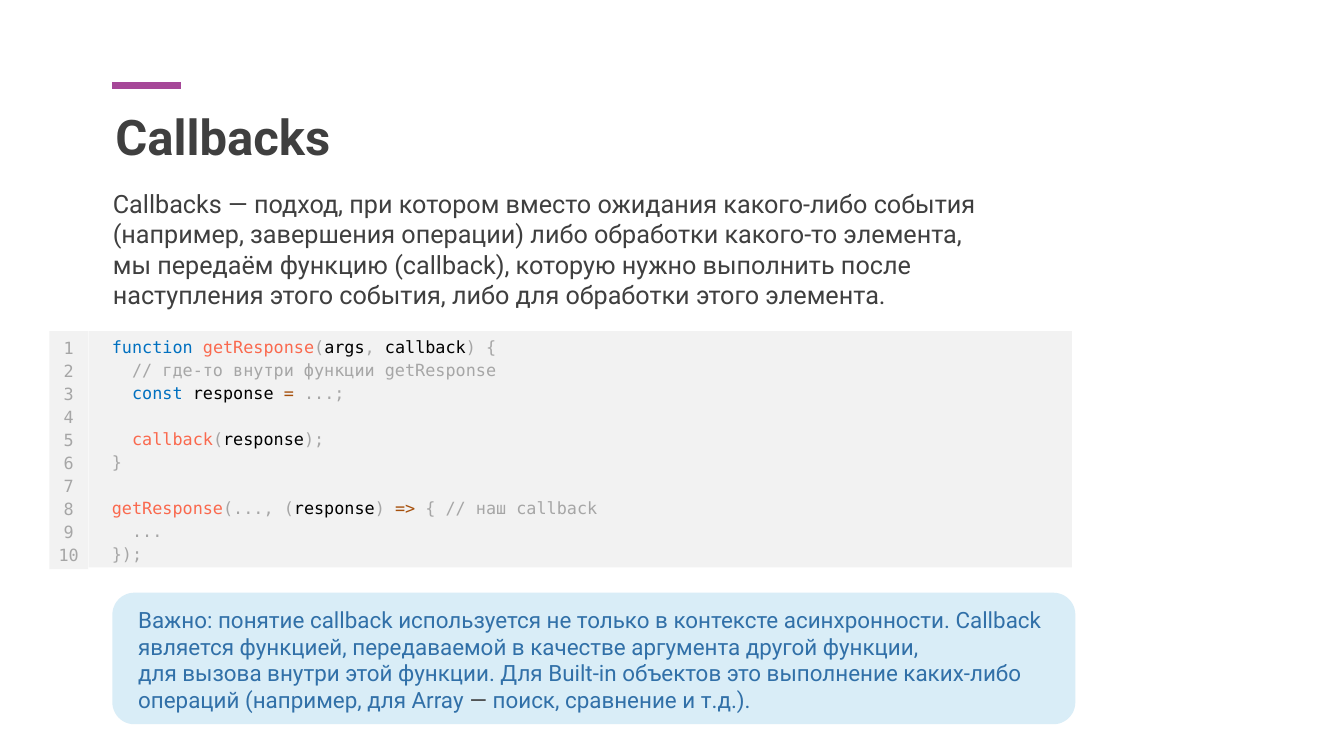
import pptx
import pptx.util
import pptx.dml.color
import pptx.enum.shapes
import pptx.enum.text
from dataclasses import dataclass
from lxml import etree

SHAPE = pptx.enum.shapes.MSO_SHAPE
ALIGN = pptx.enum.text.PP_ALIGN
ANCHOR = pptx.enum.text.MSO_ANCHOR


@dataclass(frozen=True)
class Theme:
    sans: str = "Roboto"
    mono: str = "DejaVu Sans Mono"
    ink: str = "3F3F3F"
    bar: str = "A64798"
    panel: str = "F2F2F2"
    dim: str = "A6A6A6"
    key: str = "0070C0"
    func: str = "FA694E"
    name: str = "000000"
    sign: str = "A6500C"
    note: str = "3170A8"
    pale: str = "D9EDF7"
    head: int = 70
    body: int = 36
    hint: int = 32
    code: int = 24


def tint(code):
    return pptx.dml.color.RGBColor.from_string(code)


def write(frame, text, font, size, color, bold=False, align=ALIGN.LEFT,
          anchor=ANCHOR.TOP, space=1.0, inset=0.05, left=None):
    frame.word_wrap = True
    frame.auto_size = pptx.enum.text.MSO_AUTO_SIZE.NONE
    frame.vertical_anchor = anchor
    frame.margin_top = frame.margin_bottom = frame.margin_right = pptx.util.Inches(inset)
    frame.margin_left = pptx.util.Inches(inset if left is None else left)
    for row, line in enumerate(text):
        para = frame.add_paragraph() if row else frame.paragraphs[0]
        para.alignment = align
        para.line_spacing = space
        for part, shade in [(line, color)] if isinstance(line, str) else line:
            for turn, piece in enumerate(part.split("\n")):
                if turn:
                    para.add_line_break()
                run = para.add_run()
                run.text = piece
                run.font.name = font
                run.font.size = pptx.util.Pt(size)
                run.font.bold = bold
                run.font.color.rgb = tint(shade)


class Deck:
    def __init__(self, theme, wide, high):
        self.theme = theme
        self.file = pptx.Presentation()
        self.file.slide_width = pptx.util.Inches(wide)
        self.file.slide_height = pptx.util.Inches(high)
        self.slide = self.file.slides.add_slide(self.file.slide_layouts[5])

    def place(self, left, top, wide, high):
        across, down = self.file.slide_width / 100, self.file.slide_height / 100
        return [round(part * unit) for part, unit in
                zip((left, top, wide, high), (across, down, across, down))]

    def title(self, area, text, **style):
        title = self.slide.shapes.title
        title.left, title.top, title.width, title.height = self.place(*area)
        write(title.text_frame, text, **style)

    def rule(self, left, top, wide, color, weight):
        x, y, span, _ = self.place(left, top, wide, 0)
        line = self.slide.shapes.add_connector(
            pptx.enum.shapes.MSO_CONNECTOR.STRAIGHT, x, y, x + span, y)
        line.line.color.rgb = tint(color)
        line.line.width = pptx.util.Pt(weight)
        etree.SubElement(line.element.spPr, pptx.oxml.ns.qn("a:effectLst"))

    def panel(self, area, fill, text=(), kind=SHAPE.RECTANGLE, **style):
        shape = self.slide.shapes.add_shape(kind, *self.place(*area))
        shape.shadow.inherit = False
        shape.fill.solid()
        shape.fill.fore_color.rgb = tint(fill)
        shape.line.fill.background()
        if text:
            write(shape.text_frame, text, **style)

    def text(self, area, text, **style):
        box = self.slide.shapes.add_textbox(*self.place(*area))
        write(box.text_frame, text, **style)


def main():
    look = Theme()
    deck = Deck(look, 26.67, 15)
    edge, wide, top = 8.36, 71.2, 43.8
    dim, key, func, name, sign = look.dim, look.key, look.func, look.name, look.sign

    deck.rule(edge, 11.27, 5.14, look.bar, 10)
    deck.title((edge, 13.67, wide, 8.6), ["Callbacks"], font=look.sans,
               size=look.head, color=look.ink, bold=True, inset=0.06)

    code = [
        [("function ", key), ("getResponse", func), ("(", dim), ("args", name),
         (", ", dim), ("callback", name), (") {", dim)],
        "  // где-то внутри функции getResponse",
        [("  const ", key), ("response ", name), ("=", sign), (" ...;", dim)],
        " ",
        [("  callback", func), ("(", dim), ("response", name), (");", dim)],
        "}",
        " ",
        [("getResponse", func), ("(..., (", dim), ("response", name), (") ", dim),
         ("=>", sign), (" { // наш callback", dim)],
        "  ...",
        "});",
    ]
    mono = dict(font=look.mono, size=look.code, color=dim, space=1.14, inset=0.06)
    deck.panel((6.6, top, 73.15, 31.27), look.panel, code, left=0.46, **mono)
    deck.panel((3.67, top, 2.89, 31.47), look.panel,
               [str(row + 1) for row in range(len(code))],
               align=ALIGN.CENTER, anchor=ANCHOR.MIDDLE, **mono)

    deck.text((8.21, 24.6, wide, 16.8), [
        "Callbacks — подход, при котором вместо ожидания какого-либо события "
        "(например, завершения операции) либо обработки какого-то элемента, \n"
        "мы передаём функцию (callback), которую нужно выполнить после "
        "наступления этого события, либо для обработки этого элемента."],
        font=look.sans, size=look.body, color=look.ink)

    deck.panel((edge, 78.4, 71.65, 17.4), look.pale, kind=SHAPE.ROUNDED_RECTANGLE)
    deck.text((10.09, 79.8, 67.79, 15.07), [[
        ("Важно: понятие callback используется не только в контексте "
         "асинхронности. Callback является функцией, передаваемой в качестве "
         "аргумента другой функции, \nдля вызова внутри этой функции. "
         "Для Built-in объектов это выполнение каких-либо операций "
         "(например, для Array ", look.note),
        ("— ", look.ink),
        ("поиск, сравнение и т.д.).", look.note)]],
        font=look.sans, size=look.hint, color=look.note)

    deck.file.save("out.pptx")


if __name__ == "__main__":
    main()
